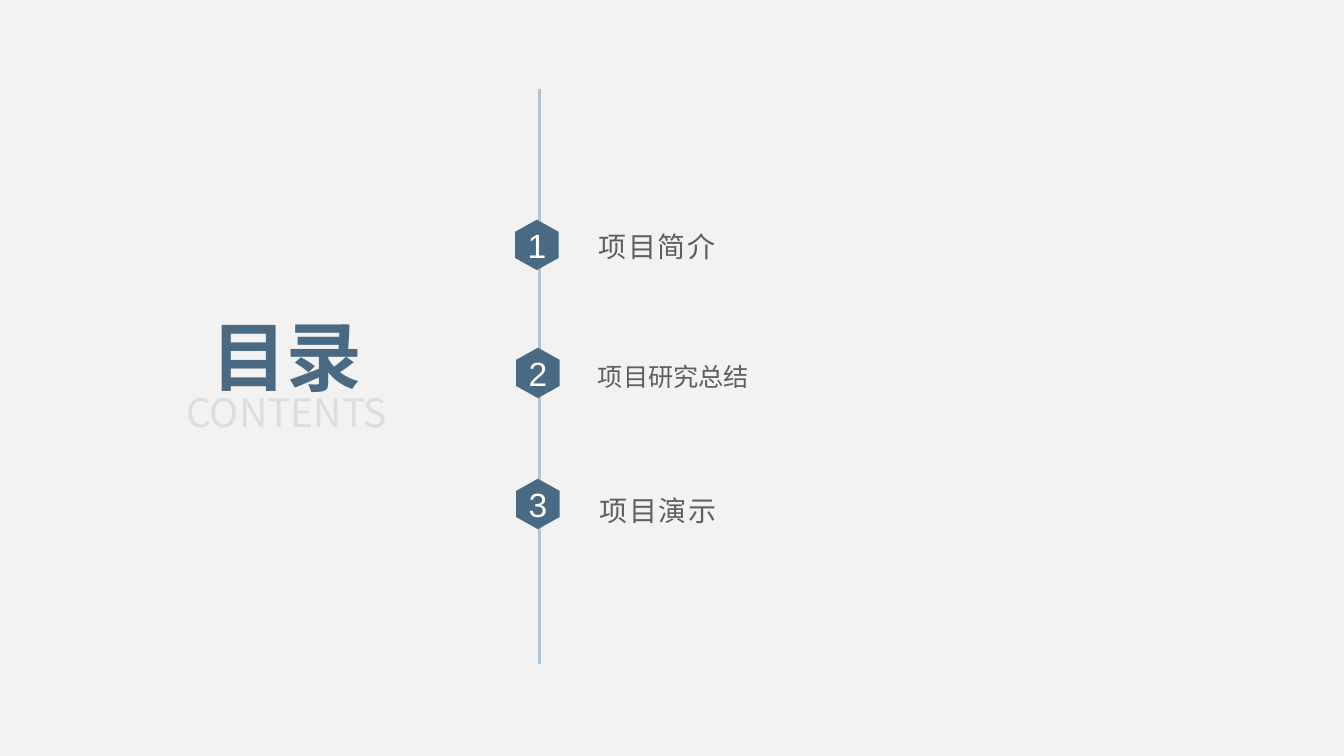
from dataclasses import dataclass

from pptx import Presentation
from pptx.dml.color import RGBColor
from pptx.enum import shapes, text
from pptx.oxml import ns
from pptx.util import Inches, Pt
from lxml import etree


@dataclass(frozen=True)
class Theme:
    background: str = "F2F2F2"
    accent: str = "4A6982"
    timeline: str = "B1C4D3"
    label: str = "5F5F5F"
    subtitle: str = "DDDDDD"
    on_accent: str = "FFFFFF"
    latin: str = "Arial"
    cjk: str = "Noto Sans CJK SC"
    heading_size: int = 54
    subtitle_size: int = 28
    number_size: int = 24
    label_size: int = 20
    long_label_size: int = 18


THEME = Theme()

# Number, label, label size, letter spacing, badge left/top, label left/top
ENTRIES = [
    ("1", "项目简介", THEME.label_size, 1, (5.11, 2.18), (5.74, 2.15)),
    ("2", "项目研究总结", THEME.long_label_size, 0, (5.12, 3.45), (5.73, 3.44)),
    ("3", "项目演示", THEME.label_size, 1, (5.12, 4.75), (5.75, 4.77)),
]


def rgb(color):
    return RGBColor.from_string(color)


def write(frame, words, size, color, font, align, bold=False, spacing=0,
          wrap=False, insets=(0.1, 0.05, 0.1, 0.05)):
    """Put one formatted run into a vertically centred frame."""
    frame.auto_size = text.MSO_AUTO_SIZE.NONE
    frame.word_wrap = wrap
    frame.vertical_anchor = text.MSO_ANCHOR.MIDDLE
    (frame.margin_left, frame.margin_top,
     frame.margin_right, frame.margin_bottom) = map(Inches, insets)
    paragraph = frame.paragraphs[0]
    paragraph.alignment = align
    run = paragraph.add_run()
    run.text = words
    run.font.size = Pt(size)
    run.font.bold = bold
    run.font.name = font
    run.font.color.rgb = rgb(color)
    # East Asian typeface and letter spacing
    properties = run.font._element
    east_asian = etree.SubElement(properties, ns.qn("a:ea"))
    east_asian.set("typeface", THEME.cjk)
    if spacing:
        properties.set("spc", str(spacing * 100))


def add_heading(slide, left, top, width, height):
    """Title with its pale English line beneath."""
    title = slide.shapes.title
    title.left, title.top = Inches(left), Inches(top)
    title.width, title.height = Inches(width), Inches(height)
    write(title.text_frame, "目录", THEME.heading_size, THEME.accent,
          THEME.cjk, text.PP_ALIGN.CENTER, bold=True)
    subtitle = slide.shapes.add_textbox(
        Inches(left), Inches(top + 0.57), Inches(width), Inches(height))
    write(subtitle.text_frame, "CONTENTS", THEME.subtitle_size,
          THEME.subtitle, THEME.cjk, text.PP_ALIGN.CENTER)


def add_timeline(slide, left, top, height):
    timeline = slide.shapes.add_connector(
        shapes.MSO_CONNECTOR.STRAIGHT, Inches(left), Inches(top),
        Inches(left), Inches(top + height))
    timeline.line.color.rgb = rgb(THEME.timeline)
    timeline.line.width = Pt(2)
    etree.SubElement(timeline._element.spPr, ns.qn("a:effectLst"))


def add_badge(group, number, left, top, width=0.43, height=0.5):
    """Upright hexagon holding the entry number."""
    corners = [(0.5, 0), (1, 0.24), (1, 0.76), (0.5, 1), (0, 0.76), (0, 0.24)]
    points = [(Inches(left + x * width), Inches(top + y * height))
              for x, y in corners]
    builder = group.shapes.build_freeform(*points[0])
    builder.add_line_segments(points[1:], close=True)
    badge = builder.convert_to_shape()
    badge.shadow.inherit = False
    badge.fill.solid()
    badge.fill.fore_color.rgb = rgb(THEME.accent)
    badge.line.fill.background()
    write(badge.text_frame, number, THEME.number_size, THEME.on_accent,
          THEME.latin, text.PP_ALIGN.CENTER, insets=(0, 0, 0, 0))


def add_entry(slide, number, words, size, spacing, badge_at, label_at):
    group = slide.shapes.add_group_shape()
    label = group.shapes.add_textbox(
        *map(Inches, label_at), Inches(5.57), Inches(0.59))
    write(label.text_frame, words, size, THEME.label, THEME.latin,
          text.PP_ALIGN.LEFT, spacing=spacing, wrap=True,
          insets=(0.2, 0.05, 0.1, 0.05))
    add_badge(group, number, *badge_at)


def build_contents(deck):
    slide = deck.slides.add_slide(deck.slide_layouts.get_by_name("Title Only"))
    slide.background.fill.solid()
    slide.background.fill.fore_color.rgb = rgb(THEME.background)
    add_timeline(slide, 5.35, 0.88, 5.71)
    for entry in ENTRIES:
        add_entry(slide, *entry)
    add_heading(slide, 1.88, 3.09, 1.93, 0.86)


def main():
    deck = Presentation()
    deck.slide_width, deck.slide_height = Inches(13.33), Inches(7.5)
    build_contents(deck)
    deck.save("out.pptx")


if __name__ == "__main__":
    main()
